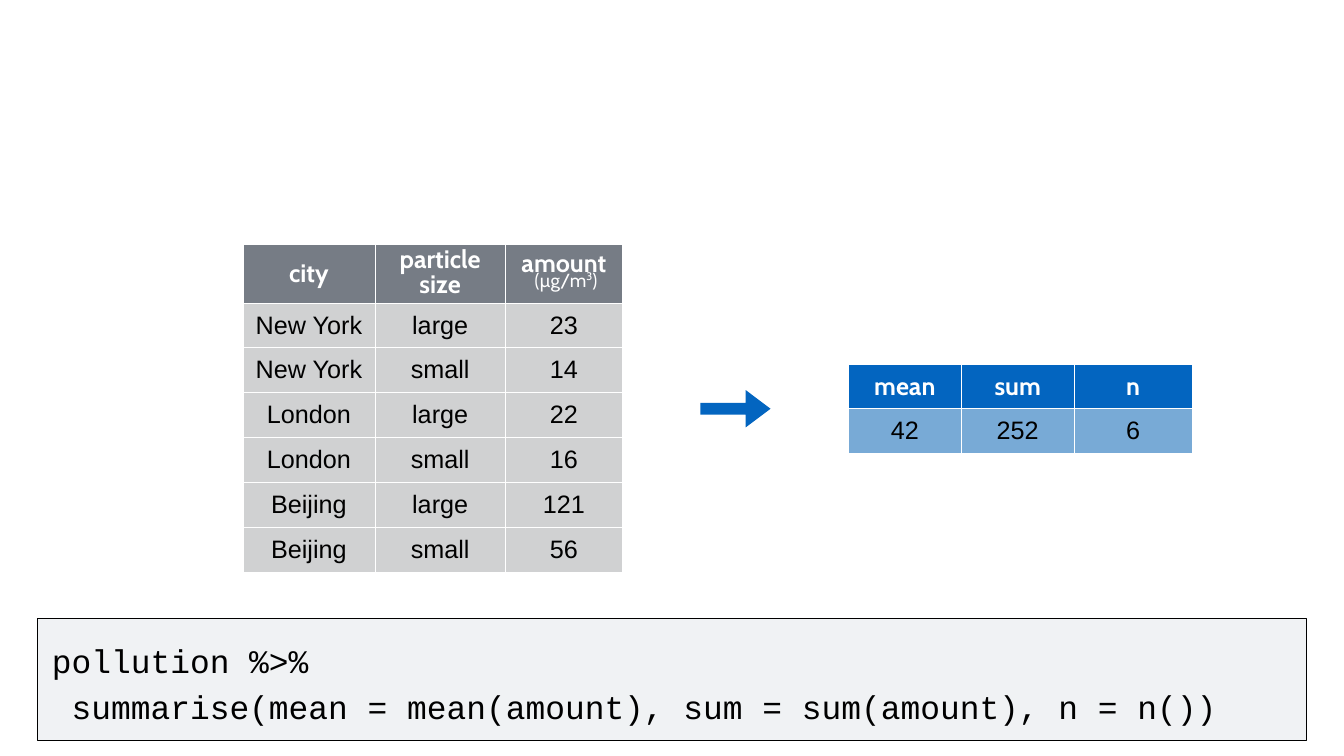
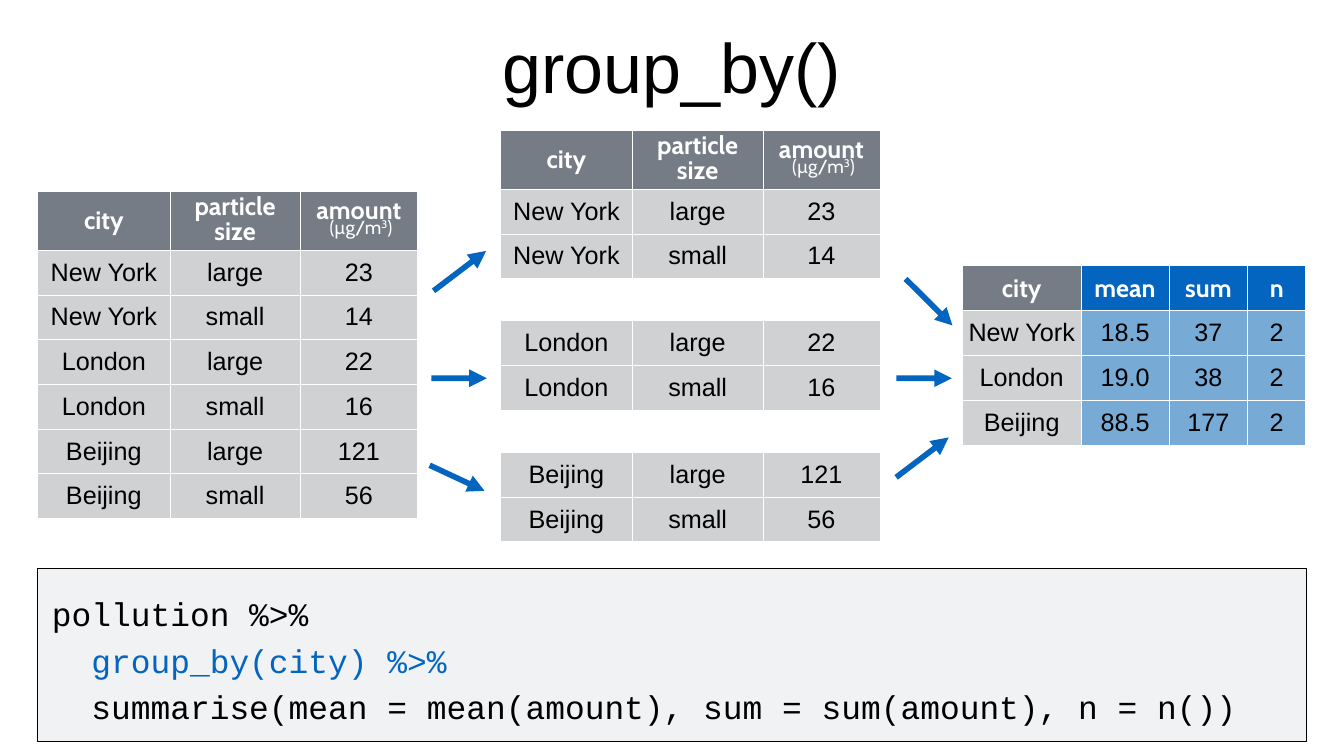
from itertools import groupby

from lxml.etree import SubElement
from pptx import Presentation
from pptx.dml.color import RGBColor
from pptx.enum.shapes import MSO_SHAPE as Shape
from pptx.enum.text import MSO_ANCHOR as Anchor, MSO_AUTO_SIZE as AutoSize, PP_ALIGN as Align
from pptx.oxml.ns import qn
from pptx.util import Emu, Pt

PX = 9144  # one px is a hundredth of an inch
INSET = 6

BLUE, LIGHT_BLUE = "0365C0", "78AAD6"
SLATE, LIGHT_GREY = "767C85", "D0D1D2"
BLACK, WHITE, PANEL = "000000", "FFFFFF", "F0F2F4"
BODY_FONT, HEADER_FONT, CODE_FONT = "Arial", "Cabin", "Courier New"

TITLE = "group_by()"
POLLUTION_COLUMNS = ("city", "particle\vsize", "amount")
UNIT = (" (µg/m", "3", ")")
POLLUTION = [
    ("New York", "large", "23"),
    ("New York", "small", "14"),
    ("London", "large", "22"),
    ("London", "small", "16"),
    ("Beijing", "large", "121"),
    ("Beijing", "small", "56"),
]
STATS = ("mean", "sum", "n")
OVERALL = [("42", "252", "6")]
BY_CITY = [
    ("New York", "18.5", "37", "2"),
    ("London", "19.0", "38", "2"),
    ("Beijing", "88.5", "177", "2"),
]
SUMMARISE = "summarise(mean = mean(amount), sum = sum(amount), n = n())"
OVERALL_CODE = [("pollution %>%", BLACK), (" " + SUMMARISE, BLACK)]
GROUPED_CODE = [
    ("pollution %>%", BLACK),
    ("  group_by(city) %>%", BLUE),
    ("  " + SUMMARISE, BLACK),
]

POLLUTION_WIDTHS = (262, 259, 232)
ROW_HEIGHT, UNIT_HEADER_HEIGHT = 89, 116
SOURCE_TOPS = (380, 674, 851)
GROUP_TOPS = (259, 636, 897)

# left, top, width, height, head length, rotation
OVERALL_ARROW = (1390, 774, 139, 74, 0.665, 0)
GROUP_ARROWS = [
    (847, 520, 131, 35, 1, 322.8),
    (856, 733, 110, 35, 1, 0),
    (847, 931, 120, 35, 0.965, 25),
    (1778, 582, 131, 35, 0.965, 44.8),
    (1779, 733, 110, 35, 1, 0),
    (1765, 890, 131, 35, 1, 322.8),
]


def px(*lengths):
    return [Emu(length * PX) for length in lengths]


def rgb(value):
    return RGBColor.from_string(value)


def style(font, name, size, colour, bold=False):
    font.name, font.size, font.bold = name, Pt(size), bold
    font.color.rgb = rgb(colour)


def set_insets(box, top=INSET):
    box.margin_left, box.margin_top, box.margin_right, box.margin_bottom = px(
        INSET, top, INSET, INSET)


def add_borders(cell):
    properties = cell._tc.get_or_add_tcPr()
    for side in ("a:lnL", "a:lnR", "a:lnT", "a:lnB"):
        line = SubElement(properties, qn(side), w=str(Pt(1)))
        SubElement(SubElement(line, qn("a:solidFill")), qn("a:srgbClr"), val=WHITE)


def add_unit(frame):
    """Put the unit, with its raised 3, on a second line of the header."""
    line = frame.add_paragraph()
    line.alignment = Align.CENTER
    for text in UNIT:
        run = line.add_run()
        run.text = text
        style(run.font, HEADER_FONT, 27, WHITE)
        if text == "3":
            run._r.get_or_add_rPr().set("baseline", "32000")
    for paragraph in frame.paragraphs:
        paragraph.line_spacing = 0.6


def fill_cell(cell, text, column, is_header):
    set_insets(cell)
    cell.vertical_anchor = Anchor.MIDDLE
    add_borders(cell)
    header_fill, body_fill = (BLUE, LIGHT_BLUE) if column in STATS else (SLATE, LIGHT_GREY)
    cell.fill.solid()
    cell.fill.fore_color.rgb = rgb(header_fill if is_header else body_fill)
    cell.text = text
    paragraph = cell.text_frame.paragraphs[0]
    paragraph.alignment = Align.CENTER
    if not is_header:
        style(paragraph.font, BODY_FONT, 36, BLACK)
        return
    style(paragraph.font, HEADER_FONT, 36, WHITE, True)
    if "\v" in text:
        paragraph.line_spacing = 0.8
    if text == "amount":
        add_unit(cell.text_frame)


def add_data(slide, left, top, widths, columns, rows, header_height=0):
    """Add a table; without a header height it has no header row."""
    lines = [columns, *rows] if header_height else rows
    heights = [ROW_HEIGHT] * len(lines)
    if header_height:
        heights[0] = header_height
    table = slide.shapes.add_table(
        len(lines), len(columns), *px(left, top, sum(widths), sum(heights))).table
    table.first_row = table.horz_banding = False
    for column, width in zip(table.columns, px(*widths)):
        column.width = width
    for row, height in zip(table.rows, px(*heights)):
        row.height = height
    for r, line in enumerate(lines):
        for c, text in enumerate(line):
            fill_cell(table.cell(r, c), text, columns[c], bool(header_height) and r == 0)


def add_pollution(slide, left, top, rows, with_header):
    add_data(slide, left, top, POLLUTION_WIDTHS, POLLUTION_COLUMNS, rows,
             UNIT_HEADER_HEIGHT if with_header else 0)


def add_arrow(slide, left, top, width, height, head, rotation):
    arrow = slide.shapes.add_shape(Shape.RIGHT_ARROW, *px(left, top, width, height))
    arrow.adjustments[0], arrow.adjustments[1] = 0.32, head
    arrow.rotation = rotation
    arrow.shadow.inherit = False
    arrow.fill.solid()
    arrow.fill.fore_color.rgb = rgb(BLUE)
    arrow.line.fill.background()


def add_code(slide, panel_top, text_top, lines):
    """Add the code panel, which always reaches the foot of the slide."""
    panel = slide.shapes.add_shape(Shape.RECTANGLE, *px(74, panel_top, 2518, 1470 - panel_top))
    panel.shadow.inherit = False
    panel.fill.solid()
    panel.fill.fore_color.rgb = rgb(PANEL)
    panel.line.color.rgb = rgb(BLACK)
    panel.line.width = Pt(1)
    frame = slide.shapes.add_textbox(*px(97, text_top, 2487, 1477 - text_top)).text_frame
    frame.word_wrap = True
    set_insets(frame, top=20)
    for i, (text, colour) in enumerate(lines):
        paragraph = frame.add_paragraph() if i else frame.paragraphs[0]
        paragraph.text = text
        if i:
            paragraph.space_before = Pt(10)
        style(paragraph.font, CODE_FONT, 47, colour)


def add_title(slide):
    title = slide.shapes.title
    title.left, title.top, title.width, title.height = px(438, -2, 1790, 262)
    frame = title.text_frame
    frame.text = TITLE
    frame.auto_size = AutoSize.NONE
    frame.vertical_anchor = Anchor.MIDDLE
    set_insets(frame)
    frame.paragraphs[0].alignment = Align.CENTER
    style(frame.paragraphs[0].font, BODY_FONT, 100, BLACK)


def build_overall(slide):
    add_arrow(slide, *OVERALL_ARROW)
    add_data(slide, 1684, 722, (223, 225, 233), STATS, OVERALL, ROW_HEIGHT)
    add_pollution(slide, 482, 485, POLLUTION, True)
    add_code(slide, 1227, 1251, OVERALL_CODE)


def build_grouped(slide):
    add_title(slide)
    cities = [list(rows) for _, rows in groupby(POLLUTION, key=lambda row: row[0])]
    for left, tops in ((75, SOURCE_TOPS), (993, GROUP_TOPS)):
        for i, (top, rows) in enumerate(zip(tops, cities)):
            add_pollution(slide, left, top, rows, i == 0)
    add_data(slide, 1910, 527, (235, 175, 156, 115), ("city", *STATS), BY_CITY, ROW_HEIGHT)
    for arrow in GROUP_ARROWS:
        add_arrow(slide, *arrow)
    add_code(slide, 1128, 1158, GROUPED_CODE)


def main():
    deck = Presentation()
    deck.slide_width, deck.slide_height = px(2667, 1500)
    title_only, blank = deck.slide_layouts[5], deck.slide_layouts[6]
    build_overall(deck.slides.add_slide(blank))
    build_grouped(deck.slides.add_slide(title_only))
    deck.save("out.pptx")


if __name__ == "__main__":
    main()
